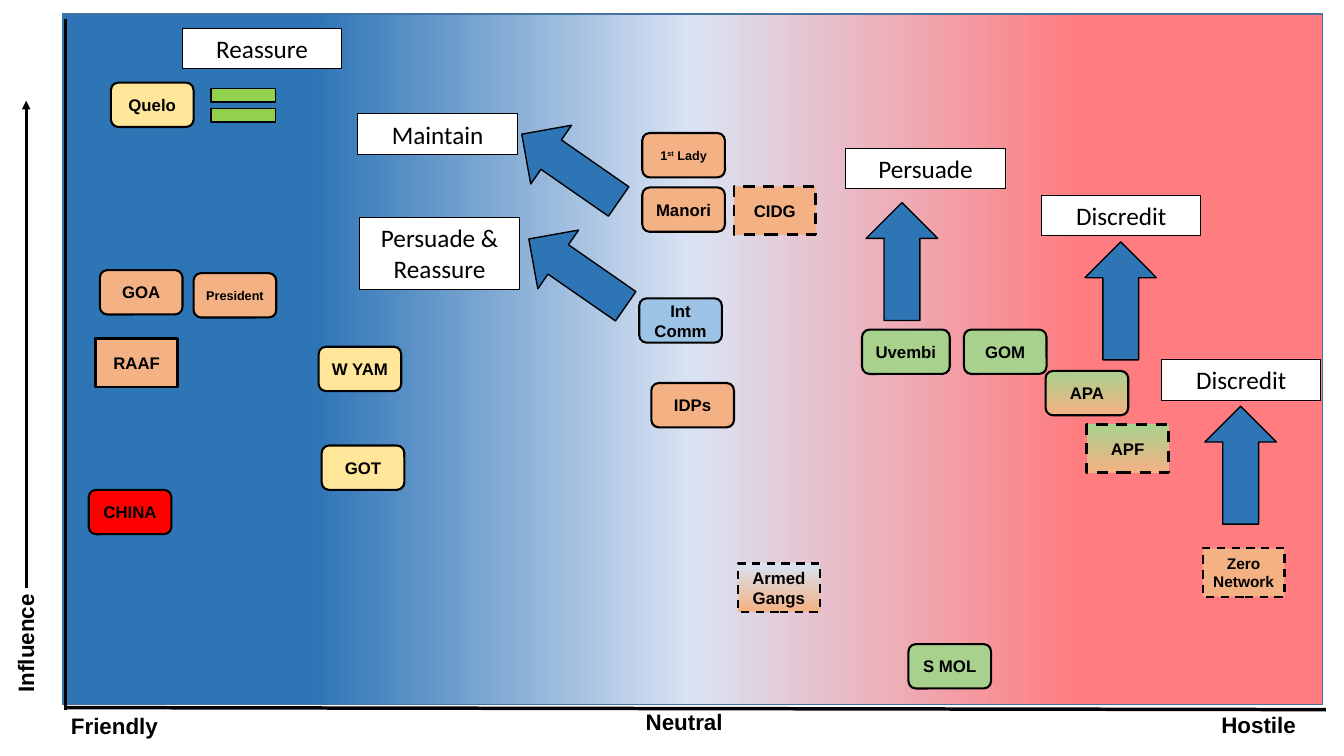
from lxml.etree import SubElement
from pptx import Presentation
from pptx.dml.color import RGBColor
from pptx.enum.dml import MSO_LINE
from pptx.enum.shapes import MSO_CONNECTOR, MSO_SHAPE as SHAPE
from pptx.enum.text import MSO_ANCHOR as ANCHOR, MSO_AUTO_SIZE, PP_ALIGN as ALIGN
from pptx.oxml.ns import qn
from pptx.util import Inches, Pt

BLACK, WHITE = "000000", "FFFFFF"
BLUE, PALE, PINK = "2E75B6", "DAE3F3", "FF7C80"
ORANGE, YELLOW, GREEN, SKY, RED = "F4B183", "FFE699", "A9D18E", "9DC3E6", "FF0000"
GREEN_TO_ORANGE = [(0, GREEN), (100, ORANGE)]
PALE_TO_ORANGE = [(0, PALE), (100, ORANGE)]

ACTORS = [
    ("President", 1.92, 2.71, ORANGE, {"size": 9}),
    ("GOT", 3.19, 4.42, YELLOW, {}),
    ("GOM", 9.56, 3.27, GREEN, {}),
    ("APA", 10.37, 3.68, GREEN_TO_ORANGE, {}),
    ("GOA", 0.99, 2.68, ORANGE, {}),
    ("Quelo", 1.1, 0.82, YELLOW, {}),
    ("W YAM", 3.16, 3.44, YELLOW, {}),
    ("CHINA", 0.88, 4.86, RED, {}),
    ("Manori", 6.37, 1.86, ORANGE, {}),
    ("IDPs", 6.46, 3.8, ORANGE, {}),
    ("Uvembi", 8.55, 3.27, GREEN, {"width": 0.87}),
    ("Int Comm", 6.34, 2.96, SKY, {}),
    ("S MOL", 9.01, 6.39, GREEN, {}),
]
ARMED_ACTORS = [
    ("Armed Gangs", 7.32, 5.59, PALE_TO_ORANGE, {"weight": 1.5}),
    ("Zero Network", 11.93, 5.44, ORANGE, {"weight": 1.5, "size": 11}),
    ("RAAF", 0.95, 3.36, ORANGE, {"dashed": False}),
    ("APF", 10.78, 4.21, GREEN_TO_ORANGE, {}),
    ("CIDG", 7.28, 1.85, ORANGE, {}),
]
ARROWS = [(5.37, 2.12, 124.8), (5.3, 1.08, 124.8), (8.59, 2.01, 180),
          (10.76, 2.4, 180), (11.95, 4.03, 180)]
ACTIONS = [
    ("Reassure", 1.81, 0.28, 0.4),
    ("Maintain", 3.55, 1.13, 0.4),
    ("Persuade & Reassure", 3.57, 2.16, 0.71),
    ("Persuade", 8.39, 1.47, 0.4),
    ("Discredit", 10.33, 1.94, 0.4),
    ("Discredit", 11.52, 3.57, 0.4),
]
AXIS_LABELS = [("Friendly", 0.59, 7.03), ("Hostile", 12, 7.02), ("Neutral", 6.29, 6.99)]


def color(value):
    """Turn a hex string into a colour."""
    return RGBColor.from_string(value)


def paint(shape, fill, angle):
    """Fill a shape with one colour, a list of gradient stops, or nothing."""
    if fill is None:
        shape.fill.background()
    elif isinstance(fill, str):
        shape.fill.solid()
        shape.fill.fore_color.rgb = color(fill)
    else:
        shape.fill.gradient()
        shape.fill.gradient_angle = -angle % 360
        stops = shape._element.spPr.find(qn("a:gradFill")).find(qn("a:gsLst"))
        stops.clear()
        for position, value in fill:
            stop = SubElement(stops, qn("a:gs"), pos=str(position * 1000))
            SubElement(stop, qn("a:srgbClr"), val=value)


def add_box(page, kind, box, fill=None, line=BLACK, weight=1.0, dashed=False,
            angle=90, rotation=0):
    """Place a preset shape in a box given as left, top, width, height."""
    shape = page.shapes.add_shape(kind, *map(Inches, box))
    shape.shadow.inherit = False
    shape.rotation = rotation
    paint(shape, fill, angle)
    if line is None:
        shape.line.fill.background()
    else:
        shape.line.color.rgb = color(line)
        shape.line.width = Pt(weight)
        if dashed:
            shape.line.dash_style = MSO_LINE.DASH
    return shape


def write(shape, text, size=12, font="Arial", bold=True, align=ALIGN.CENTER,
          anchor=ANCHOR.MIDDLE, margin=0.1, raised=""):
    """Write text in a shape, with any span equal to raised as superscript."""
    frame = shape.text_frame
    frame.word_wrap = True
    frame.vertical_anchor = anchor
    frame.margin_left = frame.margin_right = Inches(margin)
    para = frame.paragraphs[0]
    para.alignment = align
    before, mark, after = text.partition(raised) if raised else (text, "", "")
    for piece in filter(None, (before, mark, after)):
        span = para.add_run()
        span.text = piece
        span.font.size = Pt(size)
        span.font.name = font
        span.font.bold = bold
        span.font.color.rgb = color(BLACK)
        if piece == raised:
            span._r.get_or_add_rPr().set("baseline", "30000")


def add_line(page, start, end, weight, arrow=False):
    """Draw a straight black line, with an arrowhead at its end if asked."""
    line = page.shapes.add_connector(MSO_CONNECTOR.STRAIGHT, *map(Inches, start + end))
    line.line.color.rgb = color(BLACK)
    line.line.width = Pt(weight)
    if arrow:
        SubElement(line.line._get_or_add_ln(), qn("a:tailEnd"), type="triangle")
    SubElement(line._element.spPr, qn("a:effectLst"))


def add_actor(page, text, left, top, fill, size=12, width=0.82, raised=""):
    """Add a rounded actor tile."""
    tile = add_box(page, SHAPE.ROUNDED_RECTANGLE, (left, top, width, 0.44), fill, weight=1.5)
    write(tile, text, size=size, margin=0.03, raised=raised)


def add_armed_actor(page, text, left, top, fill, size=12, weight=2, dashed=True):
    """Add a square-cornered tile for an armed actor."""
    tile = add_box(page, SHAPE.RECTANGLE, (left, top, 0.81, 0.48), fill,
                   weight=weight, dashed=dashed)
    write(tile, text, size=size, margin=0.03)


def add_axes(page):
    """Add both axes with their labels."""
    add_line(page, (0.65, 7.04), (0.65, 0.19), 2.5)
    add_line(page, (0.65, 7.02), (13.15, 7.04), 2.5)
    add_line(page, (0.26, 5.83), (0.26, 1), 2, arrow=True)
    labels = [(text, (left, top, 1.16, 0.33), 0) for text, left, top in AXIS_LABELS]
    labels.append(("Influence", (-1.3, 5.19, 3.1, 0.5), 270))
    for text, box, rotation in labels:
        label = add_box(page, SHAPE.ROUNDED_RECTANGLE, box, line=None, rotation=rotation)
        write(label, text, size=16, align=ALIGN.LEFT)


def add_actions(page):
    """Add the movement arrows, the equal sign and the action labels."""
    for left, top, rotation in ARROWS:
        add_box(page, SHAPE.DOWN_ARROW, (left, top, 0.71, 1.17), BLUE, rotation=rotation)
    add_box(page, SHAPE.MATH_EQUAL, (1.98, 0.76, 0.87, 0.57), "92D050")
    for text, left, top, height in ACTIONS:
        label = add_box(page, SHAPE.RECTANGLE, (left, top, 1.58, height), WHITE, weight=0.75)
        write(label, text, size=18, font="Calibri", bold=False, anchor=ANCHOR.TOP)
        label.text_frame.auto_size = MSO_AUTO_SIZE.SHAPE_TO_FIT_TEXT


def build_map(page):
    """Build the map of actors by stance and influence."""
    add_box(page, SHAPE.RECTANGLE, (0.62, 0.14, 12.5, 6.85),
            [(20, BLUE), (50, PALE), (81, PINK)], line="43739E", angle=0)
    add_axes(page)
    add_actor(page, "1st Lady", 6.37, 1.32, ORANGE, size=9, raised="st")
    for *place, style in ACTORS:
        add_actor(page, *place, **style)
    for *place, style in ARMED_ACTORS:
        add_armed_actor(page, *place, **style)
    add_actions(page)


def main():
    """Create and save the deck."""
    deck = Presentation()
    deck.slide_width, deck.slide_height = Inches(13.33), Inches(7.5)
    build_map(deck.slides.add_slide(deck.slide_layouts[6]))
    deck.save("out.pptx")


if __name__ == "__main__":
    main()
